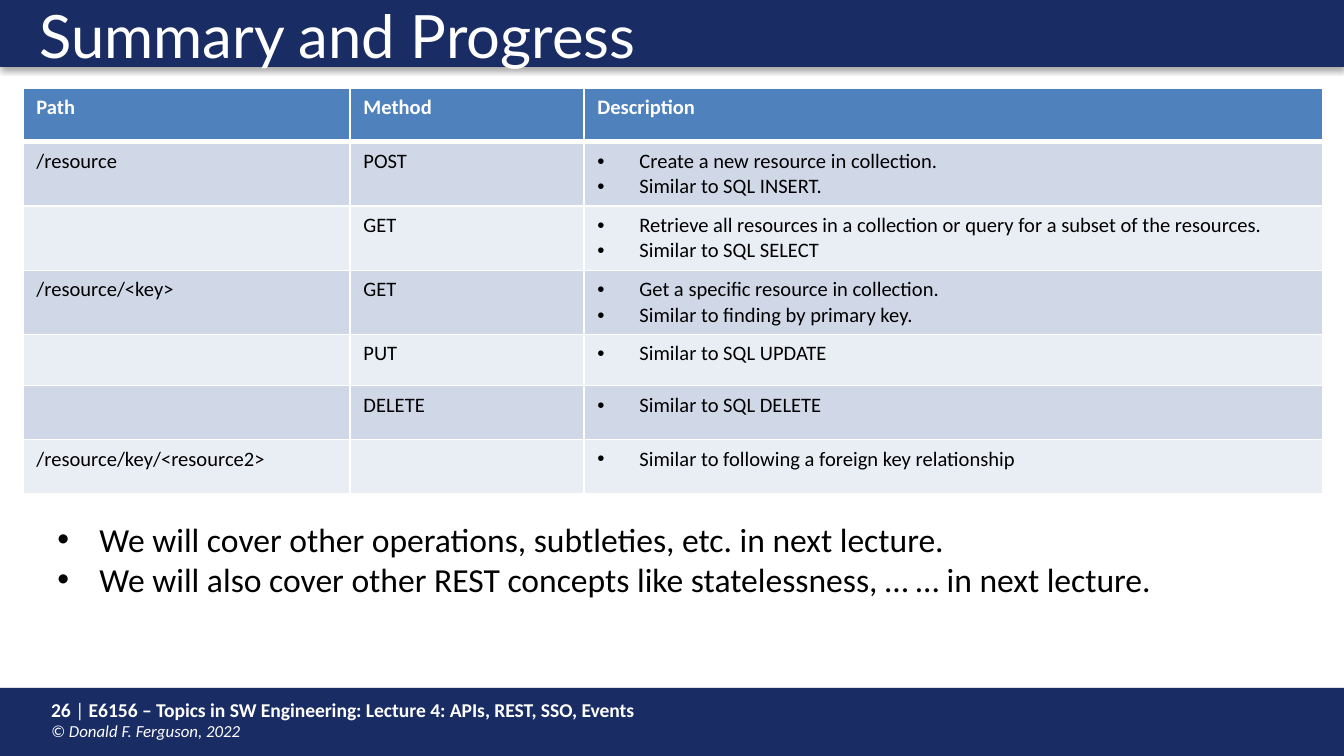
from lxml.etree import SubElement
from pptx import Presentation
from pptx.dml.color import RGBColor
from pptx.enum.shapes import MSO_SHAPE
from pptx.enum.text import MSO_ANCHOR, MSO_AUTO_SIZE, PP_ALIGN
from pptx.oxml.ns import qn
from pptx.util import Pt

PX = 914400 / 134.4
INDENT = 42
COLORS = {
    "navy": "1A2C64", "head": "4F81BD", "dark": "D0D8E8",
    "light": "E9EDF4", "white": "FFFFFF", "black": "000000",
}
ROWS = [
    ("/resource", "POST", ["Create a new resource in collection.",
                           "Similar to SQL INSERT."]),
    ("", "GET", ["Retrieve all resources in a collection or query for a subset of the resources.",
                 "Similar to SQL SELECT"]),
    ("/resource/<key>", "GET", ["Get a specific resource in collection.",
                                "Similar to finding by primary key."]),
    ("", "PUT", ["Similar to SQL UPDATE"]),
    ("", "DELETE", ["Similar to SQL DELETE"]),
    ("/resource/key/<resource2>", "", ["Similar to following a foreign key relationship"]),
]
NOTES = [
    "We will cover other operations, subtleties, etc. in next lecture.",
    "We will also cover other REST concepts like statelessness, … … in next lecture.",
]


def px(n):
    return round(n * PX)


def color(name):
    return RGBColor.from_string(COLORS[name])


def paint(fill, name):
    fill.solid()
    fill.fore_color.rgb = color(name)


def write(para, text, size=11, font="Calibri", ink="black", bold=False, italic=False):
    run = para.add_run()
    run.text = text
    style = run.font
    style.size, style.name = Pt(size), font
    style.bold, style.italic = bold, italic
    style.color.rgb = color(ink)


def bullets(frame, lines, size):
    for i, line in enumerate(lines):
        para = frame.add_paragraph() if i else frame.paragraphs[0]
        para.space_before = Pt(0)
        props = para._p.get_or_add_pPr()
        props.set("marL", str(px(INDENT)))
        props.set("indent", str(-px(INDENT)))
        SubElement(props, qn("a:buFont"), typeface="Arial")
        SubElement(props, qn("a:buChar"), char="•")
        write(para, line, size=size)


def place(shape, x, y, w, h):
    shape.left, shape.top, shape.width, shape.height = map(px, (x, y, w, h))


def add_bar(slide, x, y, w, h):
    bar = slide.shapes.add_shape(MSO_SHAPE.RECTANGLE, *map(px, (x, y, w, h)))
    paint(bar.fill, "navy")
    bar.line.fill.background()
    # Soft shadow below the bar
    bar.shadow.inherit = False
    effects = bar._element.spPr.find(qn("a:effectLst"))
    shade = SubElement(effects, qn("a:outerShdw"), blurRad=str(Pt(3.1)),
                       dist=str(Pt(1.8)), dir="5400000", rotWithShape="0")
    tint = SubElement(shade, qn("a:srgbClr"), val=COLORS["black"])
    SubElement(tint, qn("a:alpha"), val="35000")


def add_header(slide, x, y, w, h):
    add_bar(slide, x, y, w, h)
    title = slide.shapes.title
    slide.shapes._spTree.append(title._element)  # in front of the bar
    place(title, x + 26, y, w - 70, h - 2)
    frame = title.text_frame
    frame.auto_size = MSO_AUTO_SIZE.NONE
    frame.vertical_anchor = MSO_ANCHOR.TOP
    para = frame.paragraphs[0]
    para.alignment = PP_ALIGN.LEFT
    para.line_spacing = 0.9
    write(para, "Summary and Progress", size=32, font="Lato", ink="white")


def add_footer(slide, x, y, w, h):
    add_bar(slide, x, y, w, h)
    box = slide.shapes.add_textbox(*map(px, (x + 38, y + 3, 997, 58)))
    frame = box.text_frame
    frame.word_wrap = True
    para = frame.paragraphs[0]
    write(para, "26 ", size=10.5, ink="white", bold=True)
    write(para, "|", size=10.5, ink="white")
    write(para, " E6156 – Topics in SW Engineering: Lecture 4: APIs, REST, SSO, Events",
          size=10.5, ink="white", bold=True)
    para.add_line_break()
    write(para, "© Donald F. Ferguson, 2022", size=9, ink="white", italic=True)


def style_cell(cell, fill, base=1):
    props = cell._tc.get_or_add_tcPr()
    for side, width in zip("LRTB", (1, 1, 1, base)):
        line = SubElement(props, qn(f"a:ln{side}"), w=str(Pt(width)))
        ink = SubElement(line, qn("a:solidFill"))
        SubElement(ink, qn("a:srgbClr"), val=COLORS["white"])
    paint(cell.fill, fill)


def add_grid(slide, x, y, w, h):
    frame = slide.shapes.add_table(len(ROWS) + 1, 3, *map(px, (x, y, w, h)))
    table = frame.table
    for col, width in zip(table.columns, (327, 234, w - 561)):
        col.width = px(width)
    for row in table.rows:
        row.height = px(54)
    table.rows[4].height = px(44)
    # Heading row
    for cell, text in zip(table.rows[0].cells, ("Path", "Method", "Description")):
        style_cell(cell, "head", base=3)
        write(cell.text_frame.paragraphs[0], text, ink="white", bold=True)
    # Body rows in alternating bands
    for i, texts in enumerate(ROWS):
        for cell, text in zip(table.rows[i + 1].cells, texts):
            style_cell(cell, "light" if i % 2 else "dark")
            if isinstance(text, list):
                bullets(cell.text_frame, text, 11)
            else:
                write(cell.text_frame.paragraphs[0], text)


def add_notes(slide, x, y, w, h):
    body = slide.placeholders[1]
    place(body, x, y, w, h)
    body.text_frame.auto_size = MSO_AUTO_SIZE.SHAPE_TO_FIT_TEXT
    bullets(body.text_frame, NOTES, 18)


def main():
    deck = Presentation()
    deck.slide_width, deck.slide_height = px(1344), px(756)
    slide = deck.slides.add_slide(deck.slide_layouts[1])
    add_footer(slide, 0, 688, 1344, 68)
    add_header(slide, 0, 0, 1344, 67)
    add_grid(slide, 23, 88, 1300, 395)
    add_notes(slide, 44, 512, 1199, 95)
    deck.save("out.pptx")


if __name__ == "__main__":
    main()
